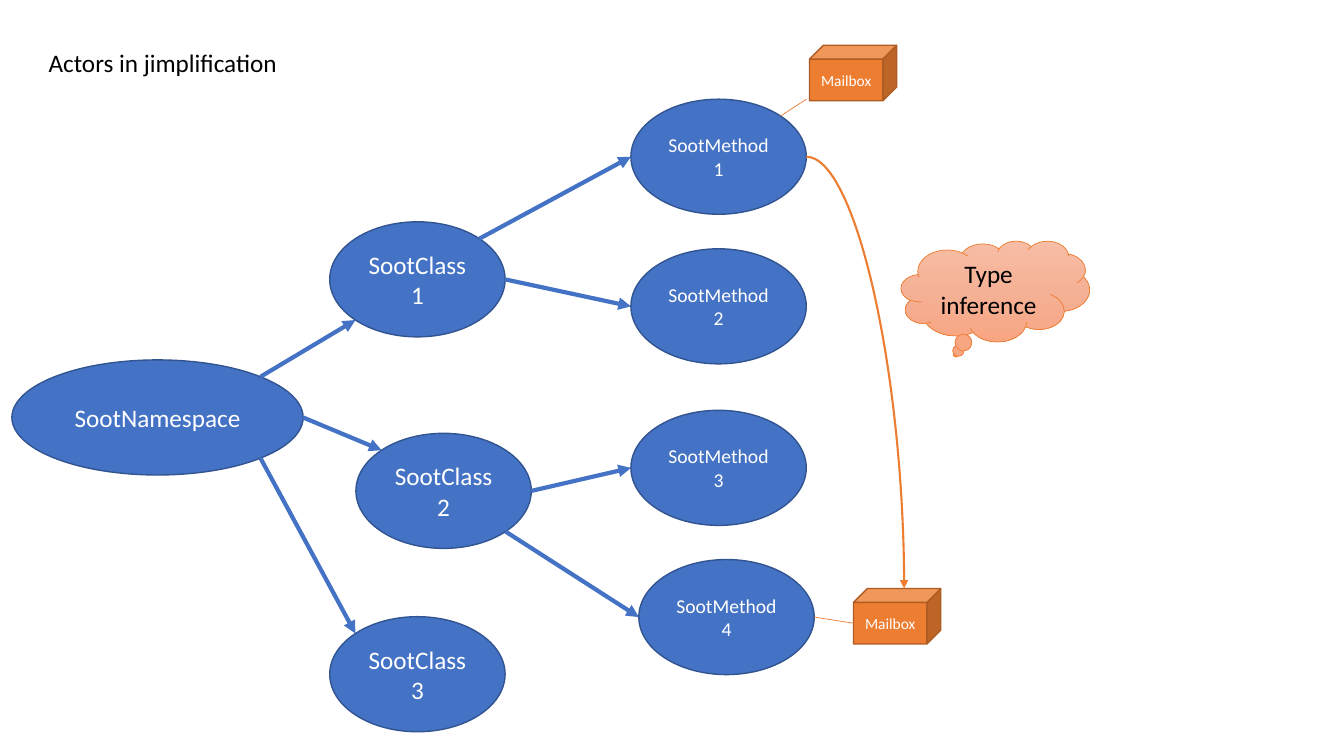
from copy import deepcopy
from dataclasses import dataclass
from math import sqrt

from lxml.etree import SubElement
from pptx import Presentation
from pptx.dml.color import RGBColor
from pptx.enum.shapes import MSO_CONNECTOR as Connector, MSO_SHAPE as Preset
from pptx.enum.text import MSO_ANCHOR as Anchor, MSO_AUTO_SIZE as AutoSize, PP_ALIGN as Align
from pptx.oxml.ns import qn
from pptx.util import Cm, Pt


@dataclass(frozen=True)
class Theme:
    font: str = "Calibri"
    blue: str = "4472C4"
    blue_edge: str = "325491"
    orange: str = "ED7D31"
    orange_edge: str = "AF5C24"
    cloud: tuple = ("F7BDA5", "F5B196", "F8A582")
    light: str = "FFFFFF"
    dark: str = "000000"
    large: int = 18
    medium: int = 14
    small: int = 11


THEME = Theme()
NODE_SIZE = (4.42, 2.9)
NAMESPACE_SIZE = (7.34, 2.9)
MAILBOX_SIZE = (2.2, 1.4)

# name: left, top, size, type size
ACTORS = {
    "SootNamespace": (0.3, 9.07, NAMESPACE_SIZE, THEME.large),
    "SootClass1": (8.31, 5.59, NODE_SIZE, THEME.large),
    "SootClass2": (8.97, 10.92, NODE_SIZE, THEME.large),
    "SootClass3": (8.31, 15.54, NODE_SIZE, THEME.large),
    "SootMethod1": (15.9, 2.5, NODE_SIZE, THEME.medium),
    "SootMethod2": (15.9, 6.27, NODE_SIZE, THEME.medium),
    "SootMethod3": (15.9, 10.34, NODE_SIZE, THEME.medium),
    "SootMethod4": (16.1, 14.1, NODE_SIZE, THEME.medium),
}

# parent, side it leaves, child, side it enters
CREATES = [
    ("SootNamespace", "top right", "SootClass1", "bottom left"),
    ("SootNamespace", "right", "SootClass2", "top left"),
    ("SootNamespace", "bottom right", "SootClass3", "top left"),
    ("SootClass1", "top right", "SootMethod1", "left"),
    ("SootClass1", "right", "SootMethod2", "left"),
    ("SootClass2", "right", "SootMethod3", "left"),
    ("SootClass2", "bottom right", "SootMethod4", "left"),
]


def apply(target, values):
    for name, value in values.items():
        setattr(target, name, value)


def format_text(frame, size, color, align, **frame_values):
    apply(frame, frame_values)
    paragraph = frame.paragraphs[0]
    paragraph.alignment = align
    apply(paragraph.font, {"name": THEME.font, "size": Pt(size), "bold": False})
    paragraph.font.color.rgb = RGBColor.from_string(color)


def set_line(line, color, width):
    line.color.rgb = RGBColor.from_string(color)
    line.width = Pt(width)


def add_labelled(slide, preset, box, text, size, fill, edge, edge_width=1, color=THEME.light):
    shape = slide.shapes.add_shape(preset, *map(Cm, box))
    shape.shadow.inherit = False
    if isinstance(fill, tuple):
        fill_gradient(shape, fill)
    else:
        shape.fill.solid()
        shape.fill.fore_color.rgb = RGBColor.from_string(fill)
    set_line(shape.line, edge, edge_width)
    shape.text_frame.text = text
    format_text(shape.text_frame, size, color, Align.CENTER,
                word_wrap=True, vertical_anchor=Anchor.MIDDLE)
    return shape


def fill_gradient(shape, colors):
    """Fill from top to bottom with evenly spaced colours."""
    shape.fill.gradient()
    shape.fill.gradient_angle = 270
    stop_list = shape.fill._xPr.find(".//" + qn("a:gsLst"))
    while len(stop_list) < len(colors):
        stop_list.append(deepcopy(stop_list[-1]))
    for index, (stop, color) in enumerate(zip(shape.fill.gradient_stops, colors)):
        stop.color.rgb = RGBColor.from_string(color)
        stop.position = index / (len(colors) - 1)


def add_line(slide, start, end, color, width, arrow=False, kind=Connector.STRAIGHT):
    connector = slide.shapes.add_connector(kind, *map(int, (*start, *end)))
    set_line(connector.line, color, width)
    properties = connector._element.spPr
    if arrow:
        SubElement(properties.find(qn("a:ln")), qn("a:tailEnd"), type="triangle")
    SubElement(properties, qn("a:effectLst"))
    return connector


def rim_point(ellipse, side):
    """Point on the ellipse at a side, or on its diagonal for a corner."""
    across = ("right" in side) - ("left" in side)
    down = ("bottom" in side) - ("top" in side)
    reach = 2 * sqrt(across ** 2 + down ** 2)
    return (ellipse.left + ellipse.width * (0.5 + across / reach),
            ellipse.top + ellipse.height * (0.5 + down / reach))


def add_title(slide, text):
    title = slide.shapes.title
    apply(title, {"left": Cm(0.97), "top": Cm(1.07), "width": Cm(6.32), "height": Cm(1.02)})
    title.text_frame.text = text
    format_text(title.text_frame, THEME.large, THEME.dark, Align.LEFT, word_wrap=False,
                auto_size=AutoSize.SHAPE_TO_FIT_TEXT, vertical_anchor=Anchor.TOP)


def add_mailbox(slide, left, top):
    return add_labelled(slide, Preset.CUBE, (left, top, *MAILBOX_SIZE), "Mailbox",
                        THEME.small, THEME.orange, THEME.orange_edge)


def add_message(slide, sender, mailbox):
    """Curved arrow that leaves sideways and drops onto the cube's top face."""
    depth = mailbox.height * mailbox.adjustments[0]
    end = (mailbox.left + (mailbox.width + depth) / 2, mailbox.top)
    curve = add_line(slide, rim_point(sender, "right"), end, THEME.orange, 1.5,
                     arrow=True, kind=Connector.CURVE)
    curve._element.spPr.find(qn("a:prstGeom")).set("prst", "curvedConnector2")


def main():
    presentation = Presentation()
    apply(presentation, {"slide_width": Cm(33.87), "slide_height": Cm(19.05)})
    slide = presentation.slides.add_slide(presentation.slide_layouts[5])
    add_title(slide, "Actors in jimplification")

    actors = {
        name: add_labelled(slide, Preset.OVAL, (left, top, *size), name, type_size,
                           THEME.blue, THEME.blue_edge)
        for name, (left, top, size, type_size) in ACTORS.items()
    }
    for parent, leaving, child, entering in CREATES:
        add_line(slide, rim_point(actors[parent], leaving),
                 rim_point(actors[child], entering), THEME.blue, 3, arrow=True)

    add_labelled(slide, Preset.CLOUD_CALLOUT, (22.71, 6.07, 4.75, 2.54), "Type inference",
                 THEME.large, THEME.cloud, THEME.orange, 0.5, THEME.dark)

    first, last = actors["SootMethod1"], actors["SootMethod4"]
    add_mailbox(slide, 20.4, 1.14)
    last_mailbox = add_mailbox(slide, 21.51, 14.83)
    add_message(slide, first, last_mailbox)
    add_line(slide, rim_point(first, "top right"), (first.left + first.width, first.top),
             THEME.orange, 0.5)
    front_middle = last_mailbox.top + last_mailbox.height * (1 + last_mailbox.adjustments[0]) / 2
    add_line(slide, rim_point(last, "right"), (last_mailbox.left, front_middle),
             THEME.orange, 0.5)

    presentation.save("out.pptx")


if __name__ == "__main__":
    main()
